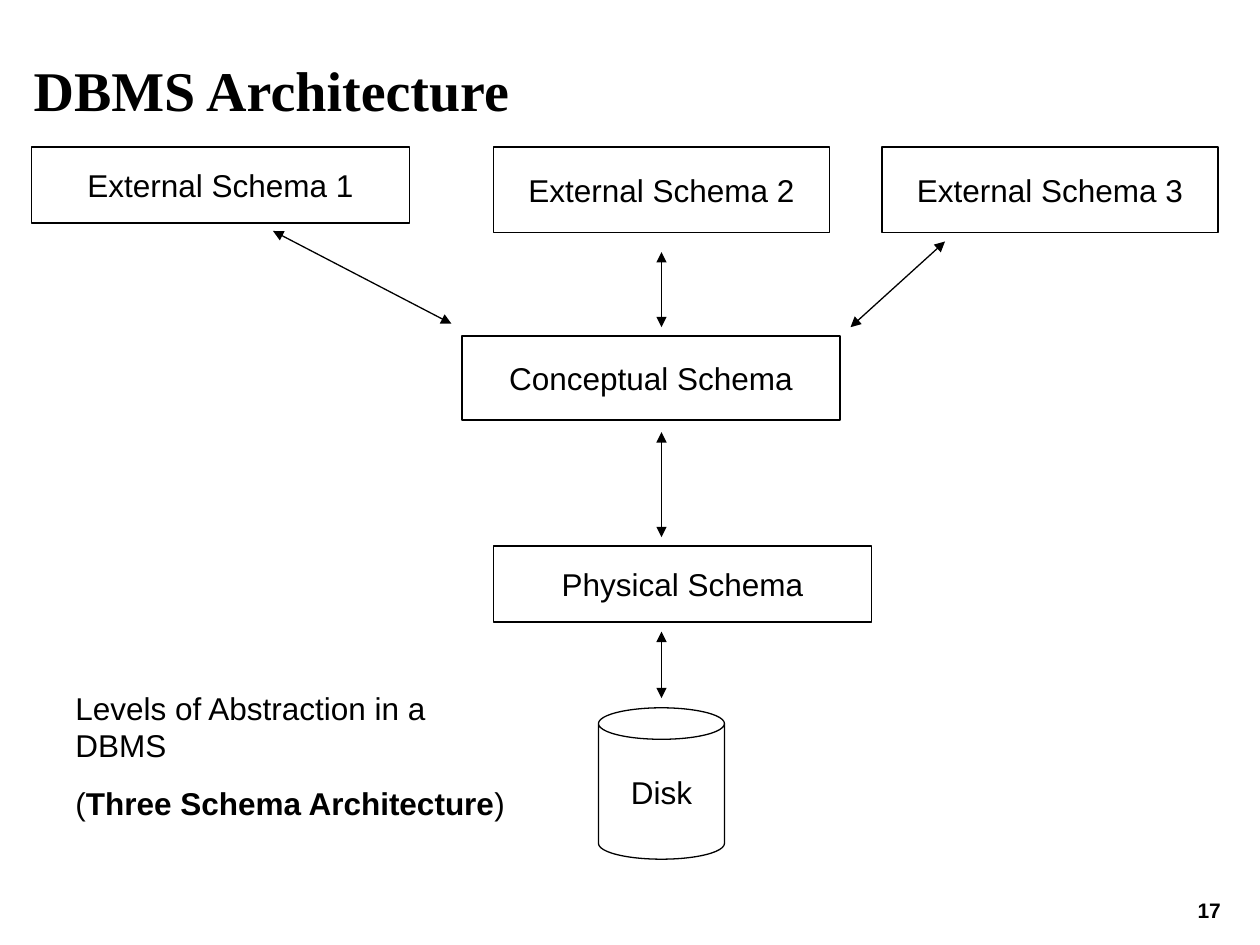
from typing import NamedTuple

from lxml.etree import SubElement
from pptx import Presentation
from pptx.dml.color import RGBColor
from pptx.enum.shapes import MSO_CONNECTOR, MSO_SHAPE
from pptx.enum.text import MSO_ANCHOR, MSO_AUTO_SIZE, PP_ALIGN
from pptx.oxml.ns import qn
from pptx.util import Pt

BLACK = "000000"
AXIS = 378  # x shared by the vertical arrows and the disk


class Node(NamedTuple):
    label: str
    left: float
    top: float
    width: float
    height: float
    kind: MSO_SHAPE = MSO_SHAPE.RECTANGLE


class Arrow(NamedTuple):
    x1: float
    y1: float
    x2: float
    y2: float


NODES = [
    Node("External Schema 1", 18, 84, 216, 43.5),
    Node("External Schema 2", 282, 84, 192, 49),
    Node("External Schema 3", 504, 84, 192, 49),
    Node("Conceptual Schema", 264, 192, 216, 48),
    Node("Physical Schema", 282, 312, 216, 43.5),
    Node("Disk", AXIS - 36, 404.5, 72, 86.5, MSO_SHAPE.CAN),
]
ARROWS = [
    Arrow(156, 132, 258, 185),
    Arrow(AXIS, 144, AXIS, 187),
    Arrow(540, 138, 486, 187),
    Arrow(AXIS, 247, AXIS, 307),
    Arrow(AXIS, 361, AXIS, 399),
]
CAPTION = [
    [("Levels of Abstraction in a DBMS", False)],
    [("(", False), ("Three Schema Architecture", True), (")", False)],
]


def color(value: str) -> RGBColor:
    return RGBColor.from_string(value)


def style(font, size: float = 18, name: str = "Arial", bold: bool = False) -> None:
    for key, value in {"size": Pt(size), "name": name, "bold": bold}.items():
        setattr(font, key, value)
    font.color.rgb = color(BLACK)


def add_node(s, node: Node) -> None:
    sp = s.shapes.add_shape(node.kind, Pt(node.left), Pt(node.top),
                            Pt(node.width), Pt(node.height))
    sp.shadow.inherit = False
    sp.fill.background()
    sp.line.color.rgb = color(BLACK)
    sp.line.width = Pt(0.75)
    tf = sp.text_frame
    tf.word_wrap = False
    tf.vertical_anchor = MSO_ANCHOR.MIDDLE
    p = tf.paragraphs[0]
    p.alignment = PP_ALIGN.CENTER
    r = p.add_run()
    r.text = node.label
    style(r.font)


def add_arrow(s, arrow: Arrow) -> None:
    """Draw a line with a triangle at both ends."""
    line = s.shapes.add_connector(MSO_CONNECTOR.STRAIGHT, *map(Pt, arrow))
    line.line.color.rgb = color(BLACK)
    line.line.width = Pt(0.75)
    ln = line.line._get_or_add_ln()
    for end in ("a:headEnd", "a:tailEnd"):
        SubElement(ln, qn(end), type="triangle")
    SubElement(line._element.spPr, qn("a:effectLst"))


def add_title(s, text: str) -> None:
    title = s.shapes.title
    box = {"left": 12, "top": 6, "width": 648, "height": 90}
    for key, value in box.items():
        setattr(title, key, Pt(value))
    tf = title.text_frame
    tf.auto_size = MSO_AUTO_SIZE.NONE
    tf.vertical_anchor = MSO_ANCHOR.MIDDLE
    p = tf.paragraphs[0]
    p.alignment = PP_ALIGN.LEFT
    r = p.add_run()
    r.text = text
    style(r.font, 32, "Times New Roman", True)


def add_caption(s) -> None:
    tf = s.shapes.add_textbox(Pt(36), Pt(390), Pt(264), Pt(83.5)).text_frame
    tf.word_wrap = True
    for i, runs in enumerate(CAPTION):
        p = tf.add_paragraph() if i else tf.paragraphs[0]
        p.space_before = Pt(11.2 if i else 0)
        for text, bold in runs:
            r = p.add_run()
            r.text = text
            style(r.font, bold=bold)


def add_page_number(s, number: str) -> None:
    tf = s.shapes.add_textbox(Pt(673), Pt(511), Pt(36), Pt(20)).text_frame
    tf.word_wrap = True
    p = tf.paragraphs[0]
    p.alignment = PP_ALIGN.CENTER
    p.line_spacing = 0.9
    r = p.add_run()
    r.text = number
    style(r.font, 12, bold=True)


def main() -> None:
    prs = Presentation()
    prs.slide_width, prs.slide_height = Pt(720), Pt(540)
    s = prs.slides.add_slide(prs.slide_layouts[5])
    add_title(s, "DBMS Architecture")
    for node in NODES:
        add_node(s, node)
    for arrow in ARROWS:
        add_arrow(s, arrow)
    add_caption(s)
    add_page_number(s, "17")
    prs.save("out.pptx")


if __name__ == "__main__":
    main()
